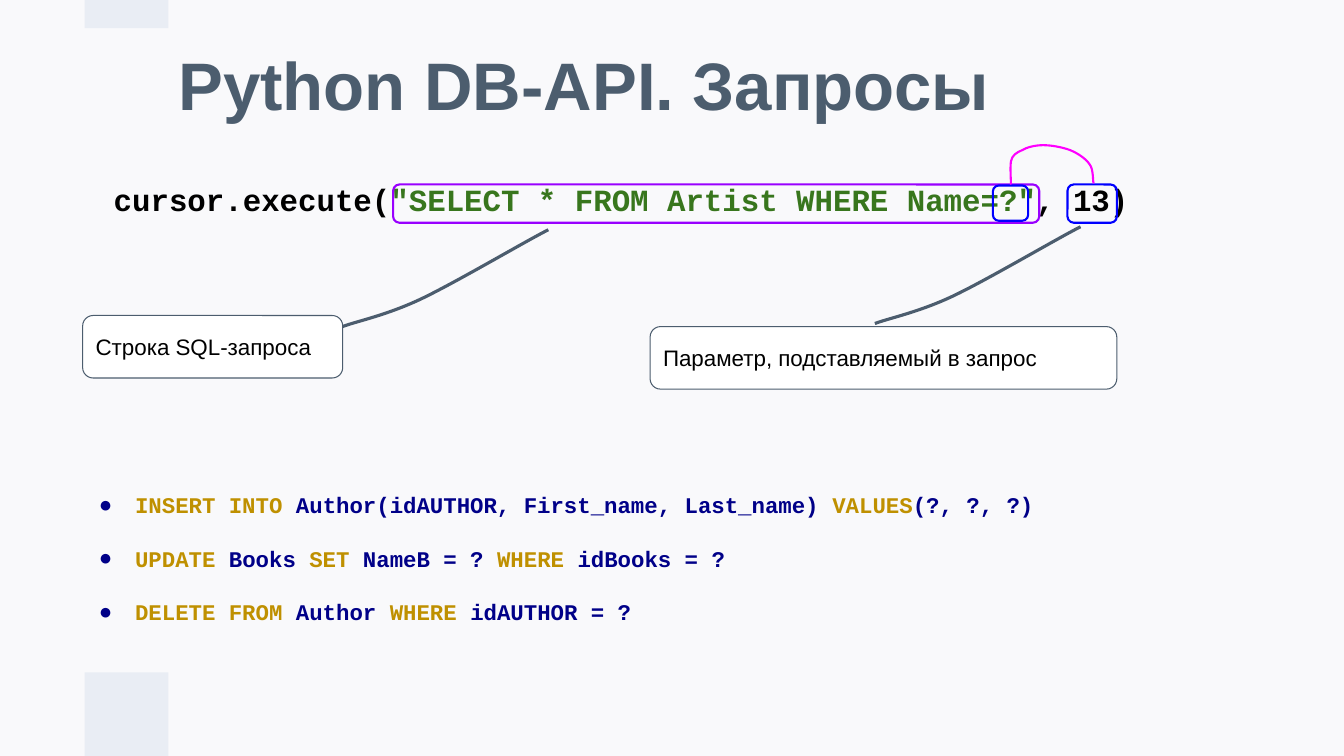
from lxml.etree import SubElement
from pptx import Presentation
from pptx.dml.color import RGBColor
from pptx.enum.shapes import MSO_SHAPE as Preset
from pptx.enum.text import MSO_ANCHOR as Anchor, MSO_AUTO_SIZE as AutoSize, PP_ALIGN as Align
from pptx.oxml.ns import qn
from pptx.util import Pt

PX = 9144  # EMU in one px, 100 px to the inch
THEME = {
    "background": "F9F9FB", "band": "E9EDF4", "slate": "4C5D6E", "white": "FFFFFF",
    "black": "000000", "string": "38761D", "keyword": "BF9000", "code": "000088",
    "query": "9900FF", "parameter": "0000FF", "link": "FF00FF",
    "title_size": 48, "code_size": 22, "text_size": 16,
    "sans": "Arial", "mono": "Courier New",
}


def color(name):
    return RGBColor.from_string(THEME[name])


def write(shape, paragraphs, font="sans", size="text_size", bold=False,
          spacing=1.0, inset_y=10, bullet=None):
    """Fill a shape with paragraphs, each a list of (text, colour name)."""
    frame = shape.text_frame
    frame.word_wrap = True
    frame.auto_size = AutoSize.NONE
    frame.vertical_anchor = Anchor.MIDDLE
    frame.margin_left = frame.margin_right = 10 * PX
    frame.margin_top = frame.margin_bottom = inset_y * PX
    for index, parts in enumerate(paragraphs):
        paragraph = frame.add_paragraph() if index else frame.paragraphs[0]
        paragraph.alignment = Align.LEFT
        paragraph.line_spacing = spacing
        paragraph.space_before = paragraph.space_after = Pt(0)
        if bullet:
            properties = paragraph._p.get_or_add_pPr()
            properties.set("marL", str(50 * PX))
            properties.set("indent", str(-36 * PX))
            bullet_color = SubElement(properties, qn("a:buClr"))
            SubElement(bullet_color, qn("a:srgbClr"), val=THEME[bullet])
            SubElement(properties, qn("a:buFont"), typeface=THEME["sans"])
            SubElement(properties, qn("a:buChar"), char="●")
        for text, color_name in parts:
            run = paragraph.add_run()
            run.text = text
            run.font.name = THEME[font]
            run.font.size = Pt(THEME[size])
            run.font.bold = bold
            run.font.color.rgb = color(color_name)


presentation = Presentation()
presentation.slide_width, presentation.slide_height = 4000 * PX // 3, 750 * PX
slide = presentation.slides.add_slide(presentation.slide_layouts[1])
slide.background.fill.solid()
slide.background.fill.fore_color.rgb = color("background")
shapes = slide.shapes
title, statements = slide.placeholders

# Decorative bands at the top and bottom edges
for top, height in ((0, 28), (667, 83)):
    band = shapes.add_shape(Preset.RECTANGLE, 84 * PX, top * PX, 83 * PX, height * PX)
    band.shadow.inherit = False
    band.fill.solid()
    band.fill.fore_color.rgb = color("band")
    band.line.fill.background()

# Title
title.left, title.top, title.width, title.height = 167 * PX, 6 * PX, 1079 * PX, 165 * PX
write(title, [[("Python DB-API. Запросы", "slate")]], size="title_size", bold=True,
      spacing=0.9, inset_y=5)

# Call with a query string and its parameter
call = shapes.add_textbox(103 * PX, 140 * PX, 1095 * PX, 115 * PX)
write(call, [[("cursor.execute(", "black"),
              ('"SELECT * FROM Artist WHERE Name=?"', "string"),
              (", 13)", "black")]], font="mono", size="code_size", bold=True)

# Frames around the query, the value and the placeholder mark
for left, top, width, height, line in (
    (390, 183, 641, 38, "query"),
    (1059, 183, 49, 38, "parameter"),
    (985, 184, 35, 35, "parameter"),
):
    frame = shapes.add_shape(Preset.ROUNDED_RECTANGLE, left * PX, top * PX, width * PX, height * PX)
    frame.shadow.inherit = False
    frame.fill.background()
    frame.line.color.rgb = color(line)
    frame.line.width = Pt(1.5)

# Curves: a start point, then Bézier segments of two controls and an end
leader = [(0, 96), (13, 91), (43, 85), (77, 69), (111, 53), (182, 11), (204, 0)]
arch = [(83, 38), (82, 35), (83, 24), (79, 19), (75, 13), (67, 8), (60, 5),
        (52, 2), (41, 0), (33, 0), (25, 0), (17, 2), (12, 5),
        (7, 7), (2, 10), (1, 16), (0, 22), (1, 35), (1, 39)]
for left, top, points, line, width in (
    (340, 228, leader, "slate", 2.25),
    (868, 225, leader, "slate", 2.25),
    (1002, 144, arch, "link", 1.5),
):
    start, *rest = [((left + x) * PX, (top + y) * PX) for x, y in points]
    builder = shapes.build_freeform(*start)
    builder.add_line_segments(rest, close=False)
    curve = builder.convert_to_shape()
    # Join every three straight steps into one Bézier segment
    outline = next(curve._element.iter(qn("a:path")))
    steps = outline.findall(qn("a:lnTo"))
    for first in range(0, len(steps), 3):
        segment = SubElement(outline, qn("a:cubicBezTo"))
        for step in steps[first:first + 3]:
            segment.append(step[0])
            outline.remove(step)
    curve.shadow.inherit = False
    curve.fill.background()
    curve.line.color.rgb = color(line)
    curve.line.width = Pt(width)

# Explanations
for left, top, width, text in (
    (82, 313, 258, "Строка SQL-запроса"),
    (645, 324, 463, "Параметр, подставляемый в запрос"),
):
    note = shapes.add_shape(Preset.ROUNDED_RECTANGLE, left * PX, top * PX, width * PX, 62 * PX)
    note.shadow.inherit = False
    note.fill.solid()
    note.fill.fore_color.rgb = color("white")
    note.line.color.rgb = color("slate")
    note.line.width = Pt(0.75)
    write(note, [[(text, "black")]])

# Further statements with placeholder marks
statements.left, statements.top = 74 * PX, 433 * PX
statements.width, statements.height = 965 * PX, 215 * PX
write(statements, [
    [("INSERT INTO", "keyword"), (" Author(idAUTHOR, First_name, Last_name) ", "code"),
     ("VALUES", "keyword"), ("(?, ?, ?)", "code")],
    [("UPDATE ", "keyword"), ("Books ", "code"), ("SET ", "keyword"),
     ("NameB = ? ", "code"), ("WHERE ", "keyword"), ("idBooks = ?", "code")],
    [("DELETE FROM ", "keyword"), ("Author ", "code"),
     ("WHERE ", "keyword"), ("idAUTHOR = ?", "code")],
], font="mono", bold=True, spacing=2.0, bullet="code")

presentation.save("out.pptx")
